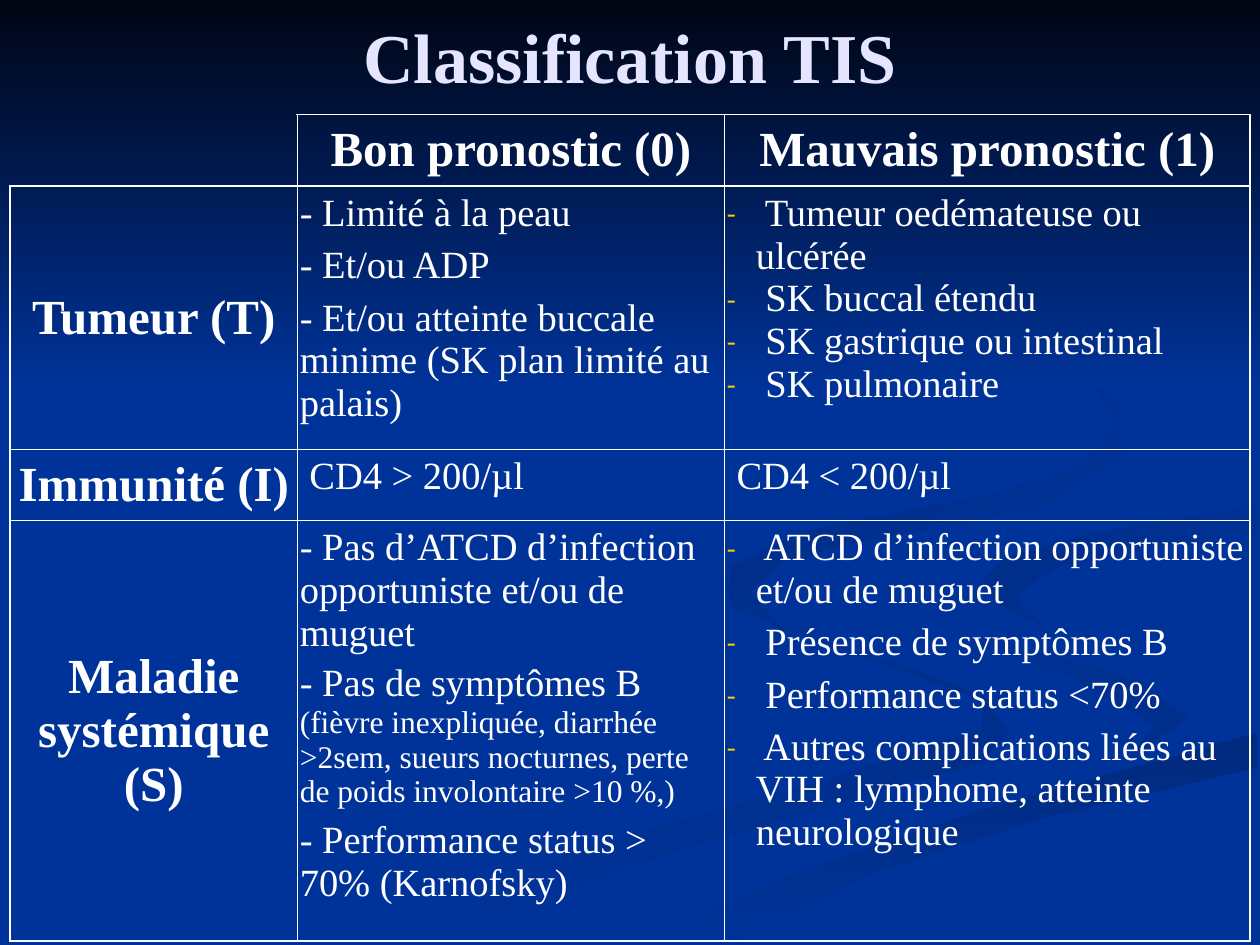
from lxml import etree
from pptx import Presentation
from pptx import util as u
from pptx.dml.color import RGBColor
from pptx.enum import shapes, text
from pptx.oxml.ns import qn

COLORS = {
    "ground": "003399", "night": "000514", "title": "E5E5FF",
    "white": "FFFFFF", "bullet": "FFCC00",
    "shade1": "002E8B", "shade2": "002A7D", "shade3": "002D86", "shade4": "002B82",
}
FONT = "Times New Roman"


def paint(shape, first, last, angle):
    """Fill a borderless shape with a two-colour gradient, angle clockwise in degrees."""
    shape.shadow.inherit = False
    shape.line.fill.background()
    shape.fill.gradient()
    shape.fill.gradient_angle = -angle % 360
    for stop, name in zip(shape.fill.gradient_stops, (first, last)):
        stop.color.rgb = RGBColor.from_string(COLORS[name])


def add_span(para, words, size, color="white", bold=False):
    span = para.add_run()
    span.text = words
    span.font.name = FONT
    span.font.size = u.Pt(size)
    span.font.bold = bold
    span.font.color.rgb = RGBColor.from_string(COLORS[color])


deck = Presentation()
deck.slide_width, deck.slide_height = u.Inches(10), u.Inches(7.5)
page = deck.slides.add_slide(deck.slide_layouts[6])
page.background.fill.solid()
page.background.fill.fore_color.rgb = RGBColor.from_string(COLORS["ground"])

# Background ribbons: start colour, end colour, angle, outline in hundredths of an inch
RIBBONS = [
    ("ground", "shade1", 0, [
        (781, 553), (715, 528), (614, 496), (575, 459), (581, 483), (697, 525), (781, 556),
        (780, 579), (652, 620), (458, 674), (300, 749), (361, 749), (499, 687), (676, 634),
        (780, 605), (800, 581)]),
    ("ground", "shade1", 45, [
        (943, 570), (905, 540), (758, 498), (724, 464), (739, 494), (854, 539), (917, 576),
        (894, 605), (937, 586)]),
    ("shade2", "ground", 90, [
        (503, 749), (571, 749), (695, 692), (821, 651), (998, 609), (998, 581), (764, 647),
        (630, 693)]),
    ("ground", "ground", 0, [
        (725, 464), (759, 498), (905, 540), (943, 570), (892, 605), (704, 655), (477, 749),
        (503, 749), (630, 693), (765, 647), (999, 581), (999, 538), (848, 503), (781, 463),
        (822, 434), (999, 402), (999, 387), (808, 417), (732, 446)]),
    ("shade3", "ground", 45, [
        (781, 460), (791, 478), (826, 496), (805, 472), (843, 448), (998, 420), (998, 402),
        (865, 424), (799, 442)]),
    ("shade4", "ground", 45, [
        (683, 430), (825, 402), (889, 362), (890, 324), (843, 275), (762, 233), (846, 279),
        (889, 335), (861, 370), (791, 392), (637, 422), (580, 451), (580, 474), (622, 500),
        (593, 470), (624, 444)]),
]
for first, last, angle, outline in RIBBONS:
    builder = page.shapes.build_freeform(*outline[0], scale=u.Inches(0.01))
    builder.add_line_segments(outline[1:], close=True)
    paint(builder.convert_to_shape(), first, last, angle)

sky = page.shapes.add_shape(shapes.MSO_SHAPE.RECTANGLE, 0, 0, u.Inches(10), u.Inches(3.08))
paint(sky, "night", "ground", 90)

title = page.shapes.add_textbox(u.Inches(0.5), u.Inches(0.13), u.Inches(9), u.Inches(0.62))
title.text_frame.word_wrap = True
title.text_frame.vertical_anchor = text.MSO_ANCHOR.MIDDLE
title_para = title.text_frame.paragraphs[0]
title_para.alignment = text.PP_ALIGN.CENTER
add_span(title_para, "Classification TIS", 40, "title", bold=True)

# Each cell lists its paragraphs; a tuple is a paragraph followed by a smaller note
ROWS = [
    [[], ["Bon pronostic (0)"], ["Mauvais pronostic (1)"]],
    [["Tumeur (T)"],
     ["- Limité à la peau", "- Et/ou ADP",
      "- Et/ou atteinte buccale minime (SK plan limité au palais)"],
     [" Tumeur oedémateuse ou ulcérée", " SK buccal étendu",
      " SK gastrique ou intestinal", " SK pulmonaire"]],
    [["Immunité (I)"], [" CD4 > 200/µl"], [" CD4 < 200/µl"]],
    [["Maladie systémique (S)"],
     ["- Pas d’ATCD d’infection opportuniste et/ou de muguet",
      ("- Pas de symptômes B ",
       "(fièvre inexpliquée, diarrhée >2sem, sueurs nocturnes, "
       "perte de poids involontaire >10 %,)"),
      "- Performance status > 70% (Karnofsky)"],
     [" ATCD d’infection opportuniste et/ou de muguet", " Présence de symptômes B",
      " Performance status <70%",
      " Autres complications liées au VIH : lymphome, atteinte neurologique"]],
]
COLUMN_WIDTHS = [2.28, 3.39, 4.17]
ROW_HEIGHTS = [0.53, 2.03, 0.53, 3.28]
THICK_COLUMN_EDGES, THICK_ROW_EDGES = (0, 1, 3), (0, 1, 4)

frame = page.shapes.add_table(4, 3, u.Inches(0.08), u.Inches(0.91),
                              u.Inches(sum(COLUMN_WIDTHS)), u.Inches(sum(ROW_HEIGHTS)))
table = frame.table
table.first_row = table.horz_banding = False
for column, width in zip(table.columns, COLUMN_WIDTHS):
    column.width = u.Inches(width)
for row, height in zip(table.rows, ROW_HEIGHTS):
    row.height = u.Inches(height)

for r, row in enumerate(ROWS):
    for c, paragraphs in enumerate(row):
        cell = table.cell(r, c)
        heading = r == 0 or c == 0
        bulleted = c == 2 and r in (1, 3)
        cell.fill.background()
        cell.margin_left = cell.margin_right = u.Inches(0.02)
        cell.margin_top = cell.margin_bottom = u.Inches(0.05)
        cell.vertical_anchor = text.MSO_ANCHOR.MIDDLE if heading else text.MSO_ANCHOR.TOP

        edges = [("a:lnL", c in THICK_COLUMN_EDGES), ("a:lnR", c + 1 in THICK_COLUMN_EDGES),
                 ("a:lnT", r in THICK_ROW_EDGES), ("a:lnB", r + 1 in THICK_ROW_EDGES)]
        properties = cell._tc.get_or_add_tcPr()
        for place, (tag, thick) in enumerate(edges):
            border = etree.Element(qn(tag), w=str(u.Pt(1.08 if thick else 0.45)))
            if r == c == 0 and tag in ("a:lnL", "a:lnT"):
                etree.SubElement(border, qn("a:noFill"))
            else:
                solid = etree.SubElement(border, qn("a:solidFill"))
                etree.SubElement(solid, qn("a:srgbClr"), val=COLORS["white"])
            properties.insert(place, border)

        for index, content in enumerate(paragraphs):
            words, note = content if isinstance(content, tuple) else (content, None)
            body = cell.text_frame
            para = body.add_paragraph() if index else body.paragraphs[0]
            if heading:
                para.alignment = text.PP_ALIGN.CENTER
            if index and not (bulleted and r == 1):
                para.space_before = u.Pt(4.5 if note else 5.5)
            if bulleted:
                settings = para._p.get_or_add_pPr()
                settings.set("marL", str(u.Inches(0.23)))
                settings.set("indent", str(-u.Inches(0.23)))
                tint = etree.SubElement(settings, qn("a:buClr"))
                etree.SubElement(tint, qn("a:srgbClr"), val=COLORS["bullet"])
                etree.SubElement(settings, qn("a:buSzPct"), val="70000")
                etree.SubElement(settings, qn("a:buFont"), typeface=FONT)
                etree.SubElement(settings, qn("a:buChar"), char="-")
            add_span(para, words, 28 if heading else 22, bold=heading)
            if note:
                add_span(para, note, 18)

deck.save("out.pptx")
